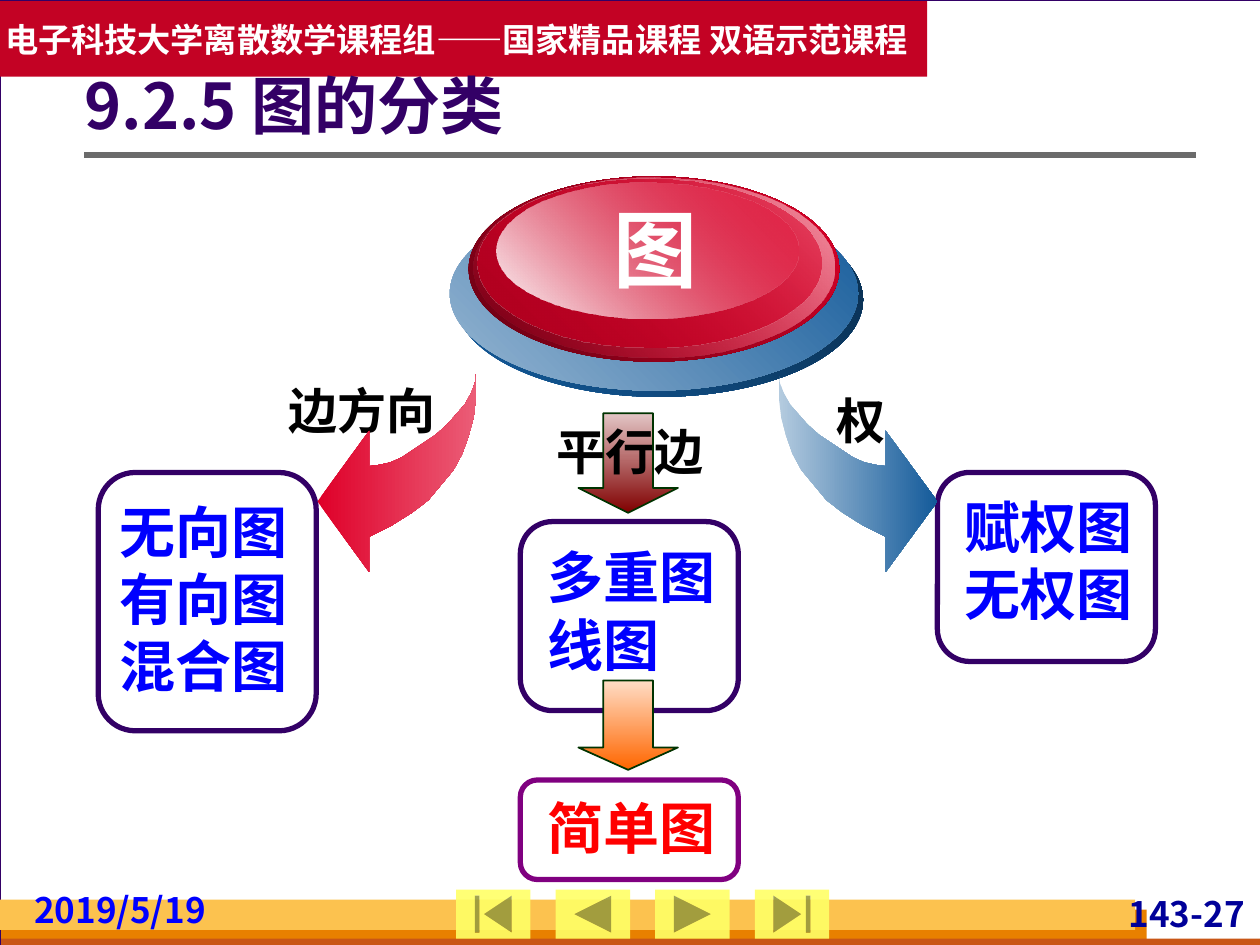
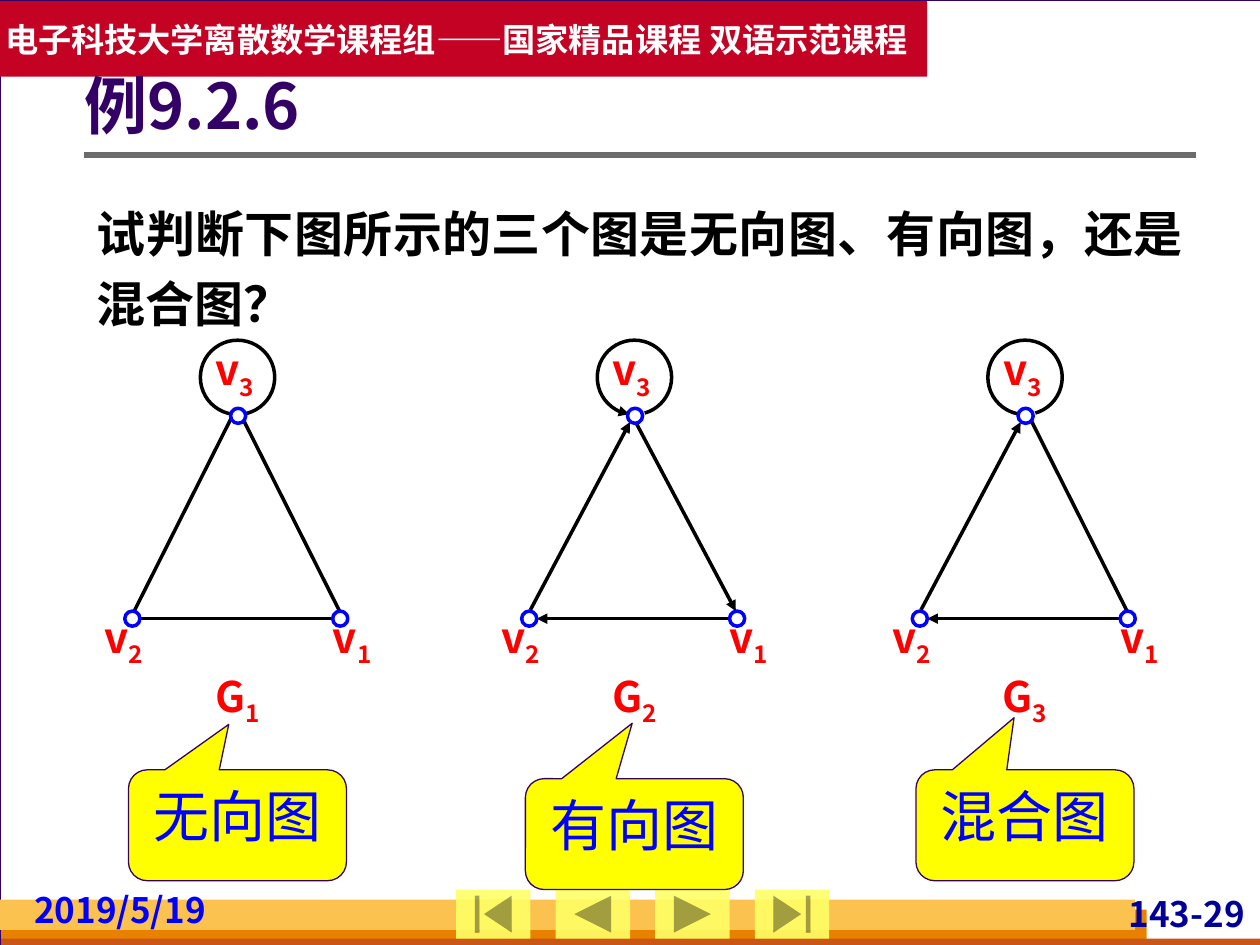
from lxml import etree
from pptx import Presentation
from pptx.dml.color import RGBColor
from pptx.enum.shapes import MSO_CONNECTOR, MSO_SHAPE
from pptx.enum.text import MSO_ANCHOR, MSO_AUTO_SIZE, PP_ALIGN
from pptx.oxml.ns import qn
from pptx.util import Inches, Pt

RECTANGLE, ROUNDED = MSO_SHAPE.RECTANGLE, MSO_SHAPE.ROUNDED_RECTANGLE
ELLIPSE, ARC, DOWN_ARROW = MSO_SHAPE.OVAL, MSO_SHAPE.ARC, MSO_SHAPE.DOWN_ARROW
CALLOUT = MSO_SHAPE.ROUNDED_RECTANGULAR_CALLOUT
NAVIGATION = (MSO_SHAPE.ACTION_BUTTON_BEGINNING, MSO_SHAPE.ACTION_BUTTON_BACK_OR_PREVIOUS,
              MSO_SHAPE.ACTION_BUTTON_FORWARD_OR_NEXT, MSO_SHAPE.ACTION_BUTTON_END)
STRAIGHT = MSO_CONNECTOR.STRAIGHT
LEFT, CENTER, RIGHT, JUSTIFY = PP_ALIGN.LEFT, PP_ALIGN.CENTER, PP_ALIGN.RIGHT, PP_ALIGN.JUSTIFY
TOP, MIDDLE = MSO_ANCHOR.TOP, MSO_ANCHOR.MIDDLE
NO_AUTOFIT = MSO_AUTO_SIZE.NONE

WHITE = RGBColor(0xFF, 0xFF, 0xFF)
BLACK = RGBColor(0, 0, 0)
BLUE = RGBColor(0, 0, 0xFF)
NAVY = RGBColor(0, 0, 0x99)
RED = RGBColor(0xFF, 0, 0)
YELLOW = RGBColor(0xFF, 0xFF, 0)
BUTTON_YELLOW = RGBColor(0xFF, 0xFF, 0x66)
INDIGO = RGBColor(0x33, 0, 0x66)
PURPLE = RGBColor(0x80, 0, 0x80)
BACKDROP = RGBColor(0xD8, 0xDA, 0xDA)
GREY = RGBColor(0x6B, 0x6B, 0x6B)
BANNER_RED = RGBColor(0xC3, 0x02, 0x24)
ORANGE = RGBColor(0xE8, 0x80, 0)
RUST = RGBColor(0xC9, 0x56, 0x16)
AMBER = RGBColor(0xFC, 0xC2, 0x4F)
DARK_GREEN = RGBColor(0, 0x33, 0)
CRIMSON = RGBColor(0xDF, 0, 0x29)
DEEP_CRIMSON = RGBColor(0xB1, 0, 0x20)
DARK_CRIMSON = RGBColor(0x67, 0, 0x13)
ROSE = RGBColor(0xEB, 0x5D, 0x77)
PALE_ROSE = RGBColor(0xF4, 0xA6, 0xB4)
STEEL = RGBColor(0x13, 0x5A, 0x9A)
DARK_STEEL = RGBColor(0x09, 0x2C, 0x4B)
LIGHT_STEEL = RGBColor(0x96, 0xB6, 0xD2)
PALE_STEEL = RGBColor(0xB4, 0xCB, 0xDF)
MAROON = RGBColor(0x80, 0, 0)
PALE_MAROON = RGBColor(0xE3, 0xC6, 0xC6)
BRIGHT_ORANGE = RGBColor(0xFF, 0x66, 0)
PALE_ORANGE = RGBColor(0xFF, 0xDD, 0xC6)

FONT = "Noto Sans CJK SC"
BOX_INSETS = (0.1, 0.05, 0.1, 0.05)
SLIM_INSETS = (0.04, 0, 0.04, 0)
NO_INSETS = (0, 0, 0, 0)

DISC_LAYERS = [
    ((3.61, 1.61, 3.24, 1.54), (STEEL, DARK_STEEL), (100, 100)),
    ((3.57, 1.56, 3.24, 1.54), (LIGHT_STEEL, STEEL), (100, 100)),
    ((3.72, 1.4, 2.94, 1.47), (DARK_CRIMSON, CRIMSON), (100, 100)),
    ((3.76, 1.41, 2.86, 1.43), (CRIMSON, PALE_ROSE), (0, 100)),
    ((3.79, 1.42, 2.73, 1.34), (DEEP_CRIMSON, CRIMSON), (100, 48)),
    ((3.94, 1.45, 2.4, 1.08), (WHITE, CRIMSON), (100, 38)),
]
CURVED_ARROW = [
    (3.78, 2.96), (3.78, 3.14), (3.76, 3.31), (3.72, 3.46), (3.67, 3.6), (3.6, 3.73),
    (3.5, 3.85), (3.4, 3.97), (3.27, 4.07), (3.11, 4.17), (2.93, 4.26), (2.93, 4.54),
    (2.52, 3.98), (2.93, 3.42), (2.93, 3.7), (3.01, 3.69), (3.1, 3.67), (3.19, 3.63),
    (3.28, 3.57), (3.37, 3.51), (3.46, 3.45), (3.55, 3.37), (3.62, 3.29), (3.69, 3.21),
    (3.74, 3.12), (3.77, 3.04),
]
MIRROR_SUM = 9.96

PLAIN_EDGES = {"v1v2": ((2.65, 4.91), (1.11, 4.91)),
               "v3v1": ((1.9, 3.27), (2.73, 4.92)),
               "v2v3": ((1.03, 4.92), (1.86, 3.27))}
ARROW_EDGES = {"v1v2": ((2.65, 4.91), (1.11, 4.91)),
               "v3v1": ((1.9, 3.36), (2.69, 4.85)),
               "v2v3": ((1.06, 4.84), (1.85, 3.35))}
NODES = [(1.83, 3.24), (0.99, 4.85), (2.64, 4.85)]
LABELS = [("v", "3", 1.63, 2.73, 0.47), ("v", "2", 0.75, 4.85, 0.47), ("v", "1", 2.56, 4.85, 0.47)]
GRAPHS = [
    ("1", 0, (), "无向图", 6.11, (-0.04, -0.91)),
    ("2", 3.15, ("v1v2", "v3v1", "v2v3", "loop"), "有向图", 6.18, (-0.01, -1)),
    ("3", 6.25, ("v1v2", "v2v3"), "混合图", 6.11, (-0.05, -0.97)),
]


class SlideBuilder:
    def __init__(self, presentation):
        self.presentation = presentation
        self.slide = None

    def start(self, title, number):
        self.slide = self.presentation.slides.add_slide(self.presentation.slide_layouts[5])
        background = self.slide.background.fill
        background.solid()
        background.fore_color.rgb = BACKDROP
        self.shape(RECTANGLE, (0, 0, 10.01, 7.5), WHITE, INDIGO, 0.75)
        self.shape(RECTANGLE, (0.01, 7.22, 9.09, 0.28), ORANGE)
        self.shape(RECTANGLE, (0.01, 7.45, 10, 0.08), RUST)
        self.shape(RECTANGLE, (0, 7.14, 9.01, 0.24), AMBER)
        self.text((8.7, 7.08, 1.22, 0.33), [number], 20, NAVY, RIGHT, SLIM_INSETS)
        self.line((0.67, 1.23), (9.49, 1.23), GREY, 3)
        for index, button in enumerate(NAVIGATION):
            self.opacity(self.shape(button, (3.62 + 0.79 * index, 7.06, 0.59, 0.39), BUTTON_YELLOW), [90])
        banner = self.shape(RECTANGLE, (0, 0.01, 7.36, 0.6), BANNER_RED)
        self.set_text(banner, ["电子科技大学离散数学课程组——国家精品课程 双语示范课程"], 19, WHITE,
                      insets=(0.04, 0.05, 0.04, 0.05), anchor=MIDDLE, wrap=False)
        self.text((0.23, 7.05, 1.65, 0.33), ["2019/5/19"], 20, BLUE, insets=SLIM_INSETS)
        self.title(title)

    def title(self, words):
        title = self.slide.shapes.title
        title.left, title.top, title.width, title.height = map(Inches, (0.67, 0.36, 8.82, 1.01))
        self.set_text(title, [words], 36, INDIGO, insets=(0, 0.05, 0.1, 0.05), anchor=MIDDLE, spacing=0.9)
        self.slide.shapes.element.append(title.element)

    def paint(self, shape, fill, line, width, angle=0):
        shape.shadow.inherit = False
        if fill is None:
            shape.fill.background()
        elif isinstance(fill, RGBColor):
            shape.fill.solid()
            shape.fill.fore_color.rgb = fill
        else:
            shape.fill.gradient()
            shape.fill.gradient_angle = angle
            for stop, color in zip(shape.fill.gradient_stops, fill):
                stop.color.rgb = color
        if line is None:
            shape.line.fill.background()
        else:
            shape.line.color.rgb = line
            shape.line.width = Pt(width)
        return shape

    def shape(self, kind, box, fill=None, line=None, width=1, angle=0, adjustments=()):
        shape = self.slide.shapes.add_shape(kind, *map(Inches, box))
        for index, value in enumerate(adjustments):
            shape.adjustments[index] = value
        return self.paint(shape, fill, line, width, angle)

    def opacity(self, shape, percentages):
        for color, percentage in zip(shape.element.spPr.iter(qn("a:srgbClr")), percentages):
            etree.SubElement(color, qn("a:alpha"), val=str(percentage * 1000))

    def outline(self, points, fill):
        corners = [(Inches(x), Inches(y)) for x, y in points]
        builder = self.slide.shapes.build_freeform(*corners[0])
        builder.add_line_segments(corners[1:], close=True)
        return self.paint(builder.convert_to_shape(), fill, None, 0)

    def line(self, start, end, color, width, arrow=False):
        connector = self.slide.shapes.add_connector(STRAIGHT, *map(Inches, (*start, *end)))
        connector.line.color.rgb = color
        connector.line.width = Pt(width)
        if arrow:
            self.arrowhead(connector, "a:tailEnd")
        etree.SubElement(connector.element.spPr, qn("a:effectLst"))

    def arrowhead(self, shape, end):
        etree.SubElement(shape.element.spPr.find(qn("a:ln")), qn(end), type="triangle")

    def set_text(self, shape, lines, size, color, align=LEFT, insets=BOX_INSETS, anchor=TOP,
                 wrap=True, spacing=None, bold=True, font=FONT, subscript=None):
        frame = shape.text_frame
        frame.text = "\n".join(lines)
        frame.word_wrap = wrap
        frame.auto_size = NO_AUTOFIT
        frame.vertical_anchor = anchor
        frame.margin_left, frame.margin_top, frame.margin_right, frame.margin_bottom = map(Inches, insets)
        if subscript:
            frame.paragraphs[0].add_run().text = subscript
        for paragraph in frame.paragraphs:
            paragraph.alignment = align
            if spacing:
                paragraph.line_spacing = spacing
            for run in paragraph.runs:
                run.font.size = Pt(size)
                run.font.bold = bold
                run.font.color.rgb = color
                run.font.name = font
        properties = list(shape.element.iter(qn("a:rPr")))
        for item in properties:
            etree.SubElement(item, qn("a:ea"), typeface=FONT)
        if subscript:
            properties[-1].set("baseline", "-25000")

    def text(self, box, lines, size, color, align=LEFT, insets=BOX_INSETS, **style):
        shape = self.slide.shapes.add_textbox(*map(Inches, box))
        self.set_text(shape, lines, size, color, align, insets, **style)

    def category(self, box, text_box, lines, line=INDIGO, color=BLUE):
        self.shape(ROUNDED, box, None, line, 3, adjustments=[0.17])
        self.text(text_box, lines, 32, color)

    def criterion(self, left, top, words):
        self.text((left, top, 1.42, 0.66), [words], 28, BLACK, CENTER, spacing=1.2)

    def graph(self, number, shift, arrows, answer, answer_top, pointer):
        loop_box = (1.59 + shift, 2.7, 0.59, 0.59)
        if arrows:
            loop = self.shape(ARC, loop_box, None, BLACK, 2, adjustments=[98 * 0.6, 74 * 0.6])
            if "loop" in arrows:
                self.arrowhead(loop, "a:headEnd")
        else:
            self.shape(ELLIPSE, loop_box, None, BLACK, 2)
        for edge in PLAIN_EDGES:
            directed = edge in arrows
            start, end = (ARROW_EDGES if directed else PLAIN_EDGES)[edge]
            self.line((start[0] + shift, start[1]), (end[0] + shift, end[1]), BLACK, 2, directed)
        for letter, index, left, top, width in [*LABELS, ("G", number, 1.59, 5.32, 0.59)]:
            self.text((left + shift, top, width, 0.4), [letter], 24, RED, CENTER, NO_INSETS, subscript=index)
        for left, top in NODES:
            self.shape(ELLIPSE, (left + shift, top, 0.12, 0.12), WHITE, BLUE, 2)
        callout = self.shape(CALLOUT, (1.02 + shift, answer_top, 1.73, 0.88), YELLOW, INDIGO, 0.75,
                             adjustments=[*pointer, 0.17])
        self.set_text(callout, [answer], 32, BLUE, CENTER, bold=False)


def build_classification(builder):
    builder.start("9.2.5 图的分类", "143-27")
    builder.criterion(2.16, 2.88, "边方向")
    builder.category((0.78, 3.75, 1.73, 2.05), (0.85, 3.9, 1.54, 1.7), ["无向图", "有向图", "混合图"])
    builder.outline(CURVED_ARROW, (CRIMSON, ROSE))
    for box, colors, opacities in DISC_LAYERS:
        builder.opacity(builder.shape(ELLIPSE, box, colors, angle=45), opacities)
    builder.text((4.77, 1.52, 0.87, 0.9), ["图"], 48, WHITE, CENTER, wrap=False, font="Arial")
    builder.category((7.44, 3.75, 1.73, 1.5), (7.56, 3.86, 1.54, 1.17), ["赋权图无权图"])
    builder.outline([(MIRROR_SUM - x, y) for x, y in CURVED_ARROW], (PALE_STEEL, STEEL))
    builder.criterion(6.12, 2.96, "权")
    builder.category((4.13, 4.14, 1.73, 1.5), (4.25, 4.26, 1.54, 1.17), ["多重图", "线图"])
    builder.category((4.13, 6.19, 1.73, 0.79), (4.25, 6.25, 1.54, 0.63), ["简单图"], PURPLE, RED)
    for top, height, colors in [(3.28, 0.79, (PALE_MAROON, MAROON)),
                                (5.4, 0.71, (PALE_ORANGE, BRIGHT_ORANGE))]:
        builder.shape(DOWN_ARROW, (4.59, top, 0.79, height), colors, DARK_GREEN, 1, 270, [0.5, 0.25])
    builder.criterion(4.29, 3.2, "平行边")


def build_example(builder):
    builder.start("例9.2.6", "143-29")
    builder.text((0.67, 1.47, 8.82, 1.22), ["试判断下图所示的三个图是无向图、有向图，还是混合图？"],
                 28, BLACK, JUSTIFY, spacing=1.2)
    for graph in GRAPHS:
        builder.graph(*graph)


def main():
    presentation = Presentation()
    presentation.slide_width, presentation.slide_height = Inches(10), Inches(7.5)
    builder = SlideBuilder(presentation)
    build_classification(builder)
    build_example(builder)
    presentation.save("out.pptx")


if __name__ == "__main__":
    main()
